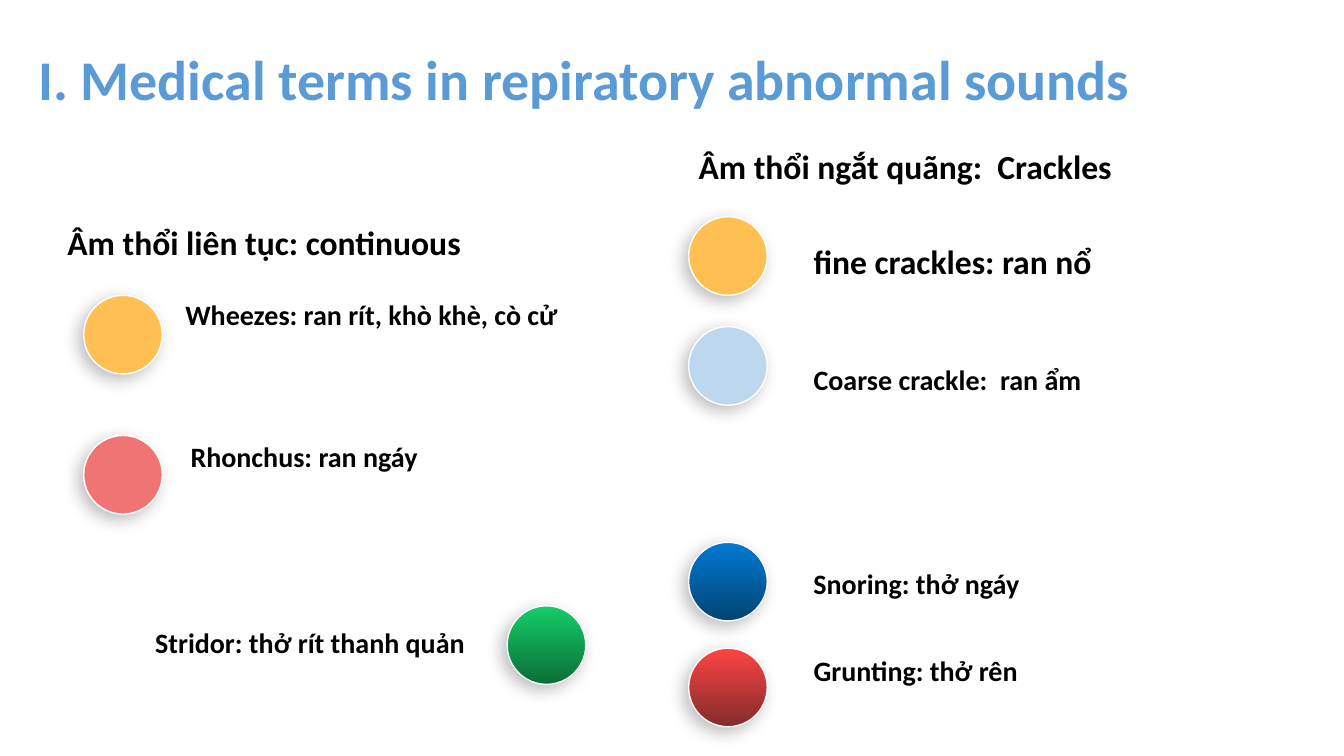
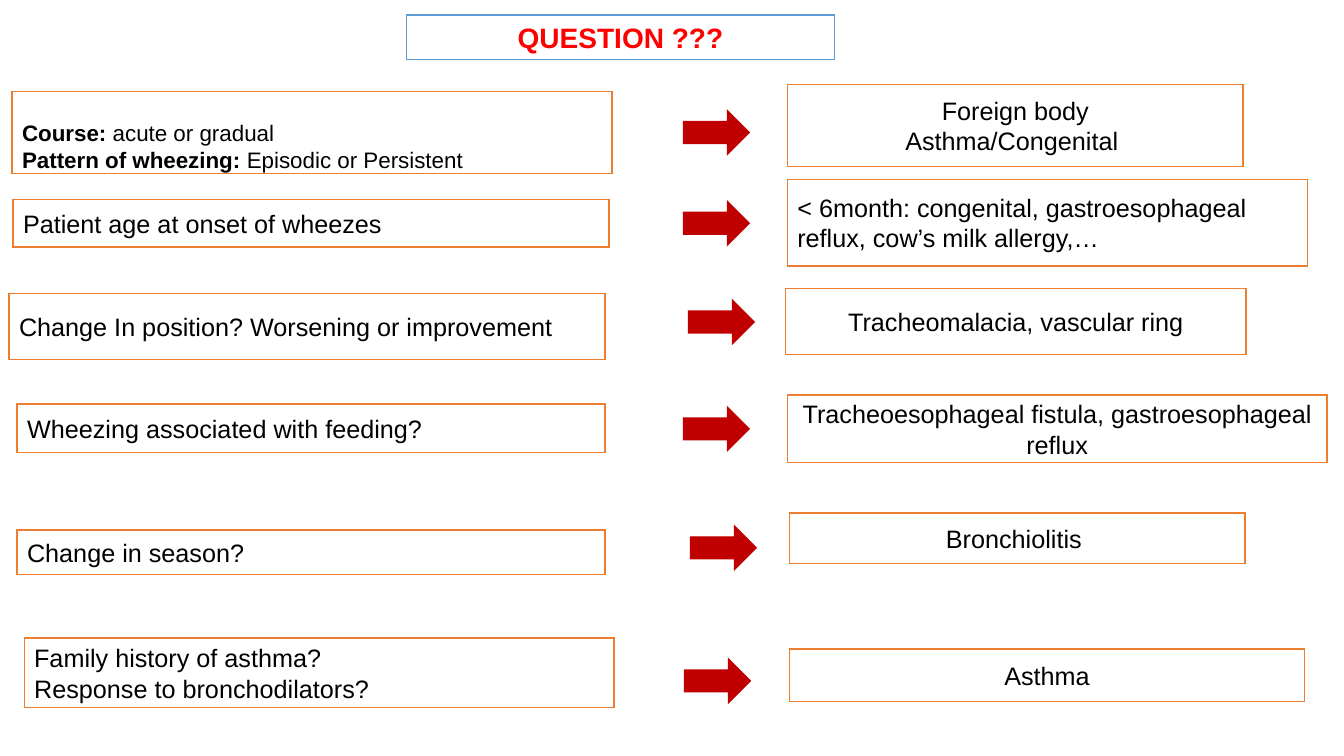
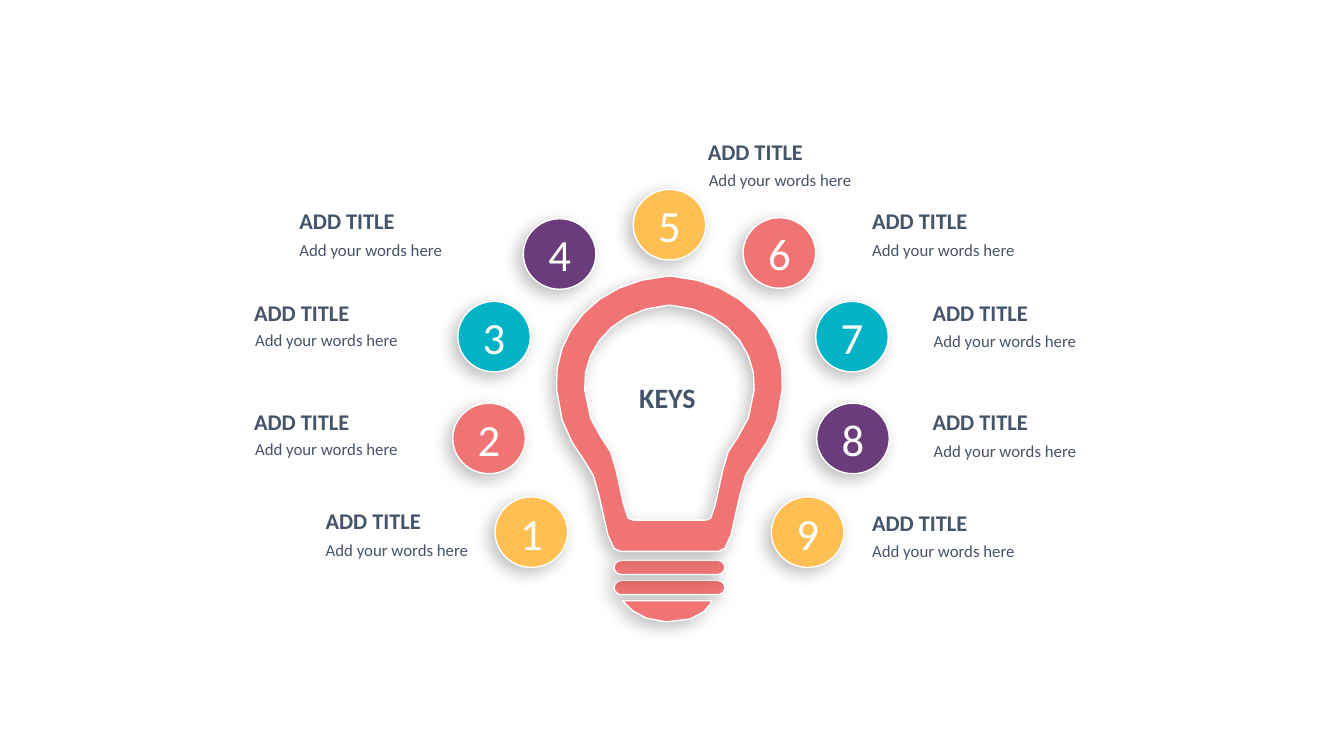
from lxml import etree
from pptx import Presentation
from pptx.dml.color import RGBColor
from pptx.enum.shapes import MSO_SHAPE
from pptx.enum.text import MSO_ANCHOR, MSO_AUTO_SIZE, PP_ALIGN
from pptx.oxml.ns import qn
from pptx.util import Inches, Pt

# Enum members
OVAL, RECT = MSO_SHAPE.OVAL, MSO_SHAPE.RECTANGLE
ARROW, PILL = MSO_SHAPE.RIGHT_ARROW, MSO_SHAPE.ROUNDED_RECTANGLE
LEFT, CENTER = PP_ALIGN.LEFT, PP_ALIGN.CENTER
TOP, MIDDLE = MSO_ANCHOR.TOP, MSO_ANCHOR.MIDDLE
NO_FIT = MSO_AUTO_SIZE.NONE

# Layouts of the default template
TITLE_ONLY, BLANK = 5, 6

# Fonts and colours
SANS, ARIAL = "Calibri", "Arial"
WHITE = RGBColor(0xFF, 0xFF, 0xFF)
BLACK = RGBColor(0x00, 0x00, 0x00)
BLUE = RGBColor(0x5B, 0x9B, 0xD5)
PALE = RGBColor(0xBD, 0xD7, 0xEE)
CORAL = RGBColor(0xF0, 0x74, 0x74)
AMBER = RGBColor(0xFF, 0xBF, 0x53)
TEAL = RGBColor(0x02, 0xB3, 0xC5)
PLUM = RGBColor(0x6A, 0x3C, 0x7C)
SLATE = RGBColor(0x44, 0x54, 0x69)
ORANGE = RGBColor(0xED, 0x7D, 0x31)
RED = RGBColor(0xFF, 0x00, 0x00)
DARK_RED = RGBColor(0xC0, 0x00, 0x00)
GREEN_FADE = RGBColor(0x14, 0xCD, 0x68), RGBColor(0x0B, 0x6E, 0x38)
BLUE_FADE = RGBColor(0x00, 0x7B, 0xD3), RGBColor(0x03, 0x43, 0x73)
RED_FADE = RGBColor(0xFE, 0x44, 0x44), RGBColor(0x83, 0x2B, 0x2B)

# Slide 1: colour, place of the ball
DOT = 0.78
DOTS = [
    (CORAL, 0.83, 4.32), (AMBER, 0.83, 2.93), (AMBER, 6.83, 2.15),
    (PALE, 6.83, 3.24), (GREEN_FADE, 5.03, 6.01),
    (BLUE_FADE, 6.83, 5.38), (RED_FADE, 6.83, 6.43),
]
# Slide 1: text, size, box
TERMS = [
    ("Âm thổi liên tục: continuous", 24, (0.57, 2.15, 4.65, 0.5)),
    ("Âm thổi ngắt quãng:  Crackles", 24, (6.83, 1.4, 4.65, 0.5)),
    ("fine crackles: ran nổ", 24, (7.97, 2.34, 2.99, 0.5)),
    ("Coarse crackle:  ran ẩm", 20, (7.97, 3.55, 2.99, 0.44)),
    ("Snoring: thở ngáy", 20, (7.97, 5.57, 2.96, 0.44)),
    ("Grunting: thở rên", 20, (7.97, 6.43, 3.51, 0.77)),
    ("Stridor: thở rít thanh quản", 20, (1.44, 6.16, 3.99, 0.44)),
]

# Slide 2: question, its box, arrow place, answer, its box, its alignment
ROWS = [
    ("Patient age at onset of wheezes", (0.13, 1.98, 5.91, 0.47),
     (6.78, 2), "< 6month: congenital, gastroesophageal reflux, "
     "cow’s milk allergy,…", (7.81, 1.78, 5.16, 0.86), LEFT),
    ("Change In position? Worsening or improvement",
     (0.09, 2.91, 5.91, 0.66), (6.83, 2.98),
     "Tracheomalacia, vascular ring", (7.79, 2.86, 4.57, 0.66), CENTER),
    ("Wheezing associated with feeding?", (0.17, 4.01, 5.83, 0.48),
     (6.78, 4.04), "Tracheoesophageal fistula, gastroesophageal reflux",
     (7.81, 3.92, 5.35, 0.67), CENTER),
    ("Change in season?", (0.17, 5.26, 5.83, 0.44), (6.85, 5.22),
     "Bronchiolitis ", (7.83, 5.09, 4.52, 0.5), CENTER),
    ("Family history of asthma?\nResponse to bronchodilators?",
     (0.24, 6.33, 5.85, 0.69), (6.79, 6.54),
     "Asthma", (7.83, 6.44, 5.11, 0.52), CENTER),
]

# Slide 3: colour, places of ball, label and caption, in order of number
KEYS = [
    (AMBER, (4.91, 4.93), (3.23, 5.03), (3.23, 5.35)),
    (CORAL, (4.49, 4), (2.52, 4.05), (2.53, 4.35)),
    (TEAL, (4.54, 2.99), (2.52, 2.97), (2.53, 3.27)),
    (PLUM, (5.19, 2.17), (2.97, 2.06), (2.97, 2.38)),
    (AMBER, (6.28, 1.88), (7.02, 1.37), (7.03, 1.68)),
    (CORAL, (7.37, 2.16), (8.65, 2.06), (8.65, 2.38)),
    (TEAL, (8.09, 2.99), (9.25, 2.97), (9.26, 3.28)),
    (PLUM, (8.1, 4), (9.25, 4.05), (9.26, 4.37)),
    (AMBER, (7.65, 4.93), (8.65, 5.05), (8.65, 5.36)),
]

# Light bulb: left halves of its outlines, mirrored at MID
# Each Bezier part has its number of steps and three points
MID = 6.64
OUTER = (6.62, 2.74), [
    (8, (5.9, 2.79), (5.48, 3.31), (5.52, 3.86)),
    (5, (5.56, 4.47), (5.9, 4.54), (5.94, 4.91)),
    (2, (5.98, 5.27), (6.09, 5.44), (6.09, 5.44)),
    (1, (6.11, 5.46), (6.13, 5.47), (6.15, 5.47)),
]
INNER = (6.62, 3.03), [
    (7, (6.09, 3.07), (5.77, 3.46), (5.8, 3.87)),
    (4, (5.83, 4.33), (6.09, 4.38), (6.11, 4.66)),
    (2, (6.15, 4.93), (6.23, 5.14), (6.23, 5.14)),
    (1, (6.24, 5.15), (6.26, 5.16), (6.28, 5.16)),
]
BASE = (7.06, 5.96), [
    (4, (7.06, 5.96), (7, 6.18), (6.61, 6.17)),
    (4, (6.3, 6.16), (6.18, 5.96), (6.18, 5.96)),
]


def write(shape, text, size, color, font=SANS, bold=False, align=LEFT,
          anchor=TOP, inset=True, lead=False):
    """Set text; with lead, the words up to the colon are bold."""
    frame = shape.text_frame
    frame.text = text
    frame.word_wrap = True
    frame.auto_size = NO_FIT
    frame.vertical_anchor = anchor
    if not inset:
        frame.margin_left = frame.margin_right = 0
        frame.margin_top = frame.margin_bottom = 0
    for para in frame.paragraphs:
        para.alignment = align
        if lead:
            head, colon, tail = para.text.partition(": ")
            para.runs[0].text = head + colon
            para.add_run().text = tail
        for run in para.runs:
            run.font.name = font
            run.font.size = Pt(size)
            run.font.bold = bold
            run.font.color.rgb = color
        if lead:
            para.runs[0].font.bold = True


def place(shape, box):
    shape.left, shape.top, shape.width, shape.height = map(Inches, box)


def paint(shape, fill, line):
    """Fill with one colour, or fade down from the first to the second."""
    if isinstance(fill, RGBColor):
        shape.fill.solid()
        shape.fill.fore_color.rgb = fill
    else:
        shape.fill.gradient()
        shape.fill.gradient_angle = 270
        for stop, color, spot in zip(shape.fill.gradient_stops, fill, (0, 1)):
            stop.color.rgb = color
            stop.position = spot
    shape.line.color.rgb = line
    shape.line.width = Pt(1)
    # Sharp corners
    edge = shape._element.spPr.find(qn("a:ln"))
    etree.SubElement(edge, qn("a:miter"), lim="800000")


def lift(shape):
    """Give a soft shadow to the lower left."""
    shape.shadow.inherit = False
    effects = shape._element.spPr.find(qn("a:effectLst"))
    shade = etree.SubElement(effects, qn("a:outerShdw"), blurRad=str(Pt(12)),
                             dist=str(Pt(5)), dir=str(135 * 60000),
                             algn="tr", rotWithShape="0")
    color = etree.SubElement(shade, qn("a:srgbClr"), val="000000")
    etree.SubElement(color, qn("a:alpha"), val="26000")


def block(slide, kind, box, fill, line):
    shape = slide.shapes.add_shape(kind, *map(Inches, box))
    shape.shadow.inherit = False
    paint(shape, fill, line)
    return shape


def ball(slide, box, fill):
    shape = block(slide, OVAL, box, fill, WHITE)
    lift(shape)
    return shape


def label(slide, box, text, size, color, **style):
    shape = slide.shapes.add_textbox(*map(Inches, box))
    write(shape, text, size, color, **style)


def panel(slide, box, text, size=18, **style):
    shape = block(slide, RECT, box, WHITE, ORANGE)
    write(shape, text, size, BLACK, font=ARIAL, **style)
    return shape


def arrow(slide, left, top):
    block(slide, ARROW, (left, top, 0.65, 0.43), DARK_RED, DARK_RED)


def head(slide, box, text, size, color, **style):
    title = slide.shapes.title
    place(title, box)
    write(title, text, size, color, bold=True, **style)
    return title


def curve(start, parts):
    """Points along a chain of cubic Bezier parts."""
    points = [start]
    for steps, one, two, end in parts:
        first = points[-1]
        for step in range(1, steps + 1):
            t = step / steps
            u = 1 - t
            points.append(tuple(
                u**3 * a + 3 * u * u * t * b + 3 * u * t * t * c + t**3 * d
                for a, b, c, d in zip(first, one, two, end)))
    return points


def mirror(half):
    return half + [(2 * MID - x, y) for x, y in reversed(half)]


def outline(slide, *loops):
    """Draw closed loops as one shape; a loop inside another is a hole."""
    loops = [[(Inches(x), Inches(y)) for x, y in loop] for loop in loops]
    pen = slide.shapes.build_freeform(*loops[0][0])
    pen.add_line_segments(loops[0][1:], close=True)
    for loop in loops[1:]:
        pen.move_to(*loop[0])
        pen.add_line_segments(loop[1:], close=True)
    shape = pen.convert_to_shape()
    paint(shape, CORAL, WHITE)
    lift(shape)


def sounds(slide):
    head(slide, (0.28, 0.39, 12.15, 0.77),
         "I. Medical terms in repiratory abnormal sounds", 40, BLUE)
    for fill, left, top in DOTS:
        ball(slide, (left, top, DOT, DOT), fill)
    for text, size, box in TERMS:
        label(slide, box, text, size, BLACK, bold=True)
    label(slide, (1.72, 2.95, 3.93, 0.74), "Wheezes: ran rít, khò khè, cò cử",
          20, BLACK, bold=True, align=CENTER, inset=False)
    label(slide, (1.89, 4.36, 2.62, 0.74), "Rhonchus: ran ngáy",
          20, BLACK, bold=True, inset=False)


def causes(slide):
    title = head(slide, (4.03, 0.15, 4.25, 0.44), "QUESTION ???", 20, RED,
                 font=ARIAL, align=CENTER)
    paint(title, WHITE, BLUE)
    # First row has bold lead words, set low in the box
    first = panel(slide, (0.12, 0.91, 5.95, 0.81),
                  "Course: acute or gradual\n"
                  "Pattern of wheezing: Episodic or Persistent",
                  size=16, lead=True)
    first.text_frame.margin_top = Inches(0.27)
    arrow(slide, 6.78, 1.1)
    panel(slide, (7.81, 0.84, 4.52, 0.81), "Foreign body\nAsthma/Congenital ",
          align=CENTER, anchor=MIDDLE)
    for ask, left_box, spot, reply, right_box, align in ROWS:
        panel(slide, left_box, ask, anchor=MIDDLE)
        arrow(slide, *spot)
        panel(slide, right_box, reply, align=align, anchor=MIDDLE)


def bulb(slide):
    # Screw rings, base and glass
    for top in (5.76, 5.56):
        ring = block(slide, PILL, (6.09, top, 1.1, 0.14), CORAL, WHITE)
        ring.adjustments[0] = 0.5
        lift(ring)
    outline(slide, curve(*BASE))
    outline(slide, mirror(curve(*OUTER)), mirror(curve(*INNER)))
    label(slide, (5.87, 3.77, 1.5, 0.34), "KEYS", 20, SLATE, bold=True,
          align=CENTER, inset=False)
    # Numbered balls with their labels
    for number, (fill, spot, name, note) in enumerate(KEYS, 1):
        shape = ball(slide, (*spot, 0.72, 0.7), fill)
        write(shape, str(number), 31.9, WHITE, align=CENTER, anchor=MIDDLE)
        label(slide, (*name, 2.14, 0.27), "ADD TITLE", 16, SLATE,
              bold=True, inset=False)
        label(slide, (*note, 2.55, 0.2), "Add your words here", 12, SLATE,
              inset=False)


def main():
    deck = Presentation()
    deck.slide_width, deck.slide_height = Inches(13.33), Inches(7.5)
    for build, layout in ((sounds, TITLE_ONLY), (causes, TITLE_ONLY),
                          (bulb, BLANK)):
        build(deck.slides.add_slide(deck.slide_layouts[layout]))
    deck.save("out.pptx")


if __name__ == "__main__":
    main()
